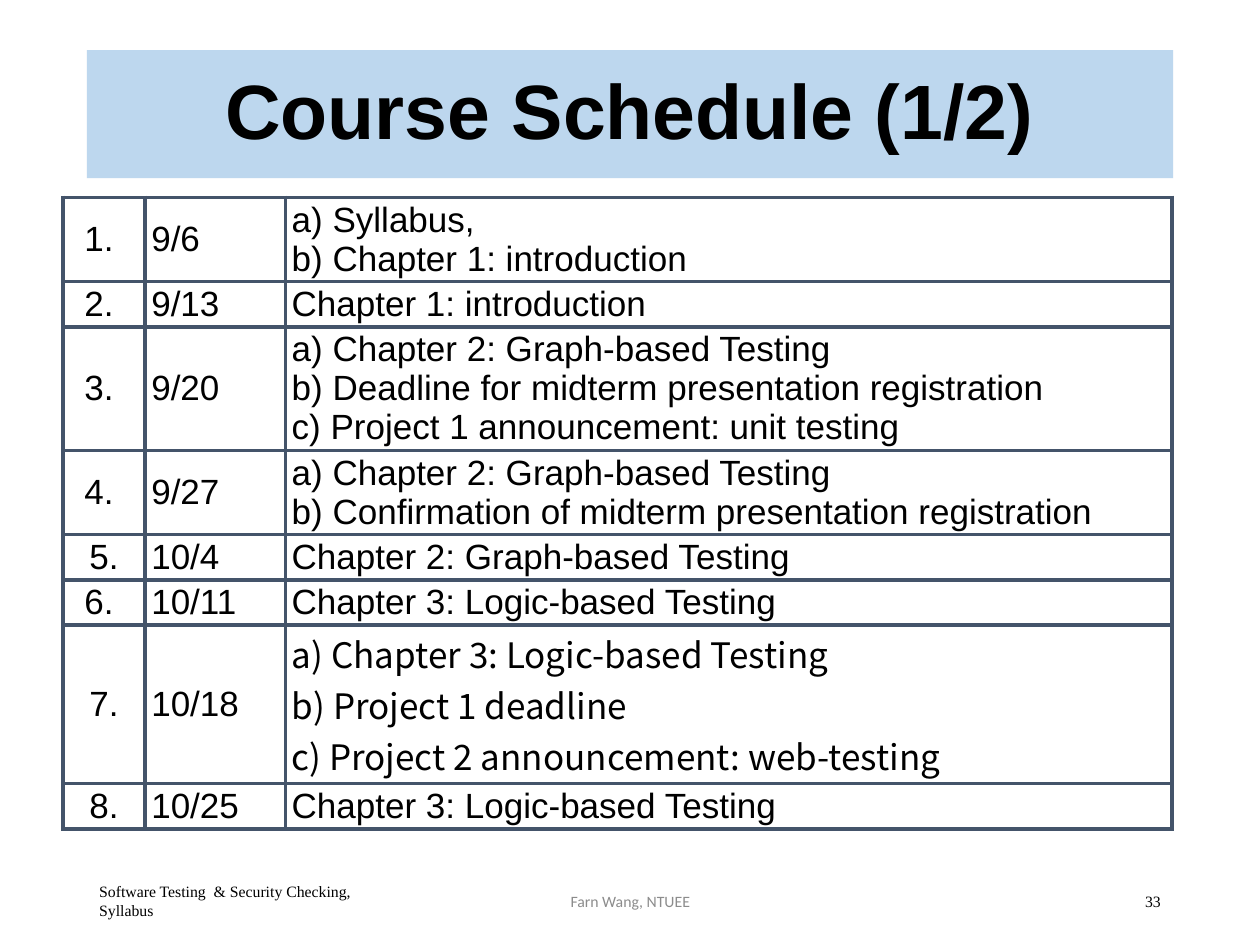
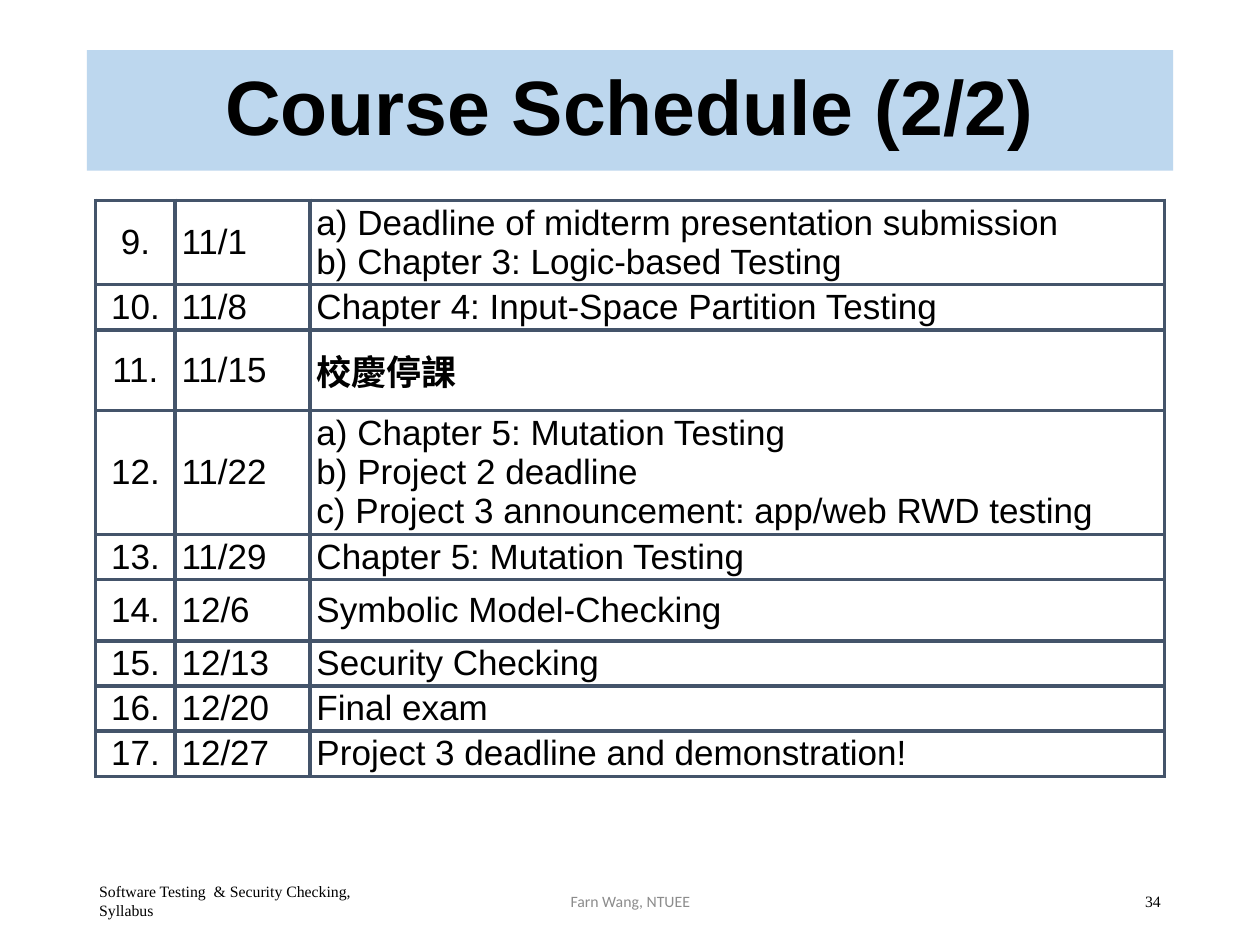
"""Build the two course schedule slides."""
from dataclasses import dataclass

from lxml import etree
from pptx import Presentation
from pptx.dml.color import RGBColor
from pptx.enum.text import MSO_ANCHOR, MSO_AUTO_SIZE, PP_ALIGN
from pptx.oxml.ns import qn
from pptx.util import Cm, Pt

MIDDLE = MSO_ANCHOR.MIDDLE
NO_FIT = MSO_AUTO_SIZE.NONE
LEFT, CENTER, RIGHT = PP_ALIGN.LEFT, PP_ALIGN.CENTER, PP_ALIGN.RIGHT
TITLE_ONLY = 5


@dataclass(frozen=True)
class Style:
    font: str
    size: float
    color: str
    bold: bool = False
    east_asian: bool = False
    spacing: float | Pt | None = None


@dataclass(frozen=True)
class Theme:
    band: str = "BDD7EE"
    border: str = "44546A"
    border_pt: float = 2.25
    title: Style = Style("Arial", 44, "000000", bold=True, spacing=0.9)
    cell: Style = Style("Arial", 20, "000000", spacing=Pt(22.3))
    cjk: Style = Style("Noto Sans CJK SC", 20, "000000", east_asian=True)
    cjk_bold: Style = Style("Noto Sans CJK SC", 20, "000000", bold=True, east_asian=True)
    footer: Style = Style("Times New Roman", 9, "000000")
    author: Style = Style("Calibri", 9, "8C8C8C")


THEME = Theme()
LINE_CM, ROW_PAD_CM = 0.79, 0.12


@dataclass(frozen=True)
class Week:
    number: str
    date: str
    topics: tuple[str, ...]
    style: Style = THEME.cell
    height: float = 0

    @property
    def row_cm(self) -> float:
        return self.height or LINE_CM * len(self.topics) + ROW_PAD_CM


@dataclass(frozen=True)
class Schedule:
    title: str
    band_height: float
    page: str
    left: float
    top: float
    cols: tuple[float, ...]
    weeks: tuple[Week, ...]


@dataclass(frozen=True)
class Footer:
    left: float
    width: float
    align: PP_ALIGN
    style: Style
    text: str = ""


FOOTERS = (
    Footer(1.75, 5.72, LEFT, THEME.footer, "Software Testing  & Security Checking, Syllabus"),
    Footer(8.41, 8.59, CENTER, THEME.author, "Farn Wang, NTUEE"),
    Footer(17.93, 5.72, RIGHT, THEME.footer),
)

SCHEDULES = (
    Schedule("Course Schedule (1/2)", 2.58, "33", 1.27, 3.98, (1.65, 2.83, 17.88), (
        Week("1. ", "9/6", ("a) Syllabus,", "b) Chapter 1: introduction")),
        Week("2. ", "9/13", ("Chapter 1: introduction",)),
        Week("3. ", "9/20", ("a) Chapter 2: Graph-based Testing",
                             "b) Deadline for midterm presentation registration",
                             "c) Project 1 announcement: unit testing")),
        Week("4. ", "9/27", ("a) Chapter 2: Graph-based Testing",
                             "b) Confirmation of midterm presentation registration")),
        Week("5.", "10/4", ("Chapter 2: Graph-based Testing",)),
        Week("6. ", "10/11", ("Chapter 3: Logic-based Testing",)),
        Week("7.", "10/18", ("a) Chapter 3: Logic-based Testing",
                             "b) Project 1 deadline",
                             "c) Project 2 announcement: web-testing"), THEME.cjk, 3.2),
        Week("8.", "10/25", ("Chapter 3: Logic-based Testing",)),
    )),
    Schedule("Course Schedule (2/2)", 2.43, "34", 1.93, 4.04, (1.6, 2.72, 17.22), (
        Week("9.", "11/1", ("a) Deadline of midterm presentation submission",
                            "b) Chapter 3: Logic-based Testing")),
        Week("10.", "11/8", ("Chapter 4: Input-Space Partition Testing",)),
        Week("11.", "11/15", ("校慶停課",), THEME.cjk_bold, 1.63),
        Week("12.", "11/22", ("a) Chapter 5: Mutation Testing",
                              "b) Project 2 deadline",
                              "c) Project 3 announcement: app/web RWD testing")),
        Week("13.", "11/29", ("Chapter 5: Mutation Testing",)),
        Week("14.", "12/6", ("Symbolic Model-Checking",), height=1.24),
        Week("15.", "12/13", ("Security Checking",)),
        Week("16.", "12/20", ("Final exam",)),
        Week("17.", "12/27", ("Project 3 deadline and demonstration!",)),
    )),
)


def write(tf, lines: tuple[str, ...], style: Style, align: PP_ALIGN = LEFT) -> None:
    for i, line in enumerate(lines):
        p = tf.add_paragraph() if i else tf.paragraphs[0]
        p.alignment = align
        p.line_spacing = style.spacing
        r = p.add_run()
        r.text = line
        r.font.name = style.font
        r.font.size = Pt(style.size)
        r.font.bold = style.bold
        r.font.color.rgb = RGBColor.from_string(style.color)
        if style.east_asian:
            etree.SubElement(r.font._element, qn("a:ea"), typeface=style.font)


def add_borders(cell) -> None:
    tc_pr = cell._tc.get_or_add_tcPr()
    for side in ("lnL", "lnR", "lnT", "lnB"):
        ln = etree.SubElement(tc_pr, qn(f"a:{side}"), w=str(Pt(THEME.border_pt)))
        fill = etree.SubElement(ln, qn("a:solidFill"))
        etree.SubElement(fill, qn("a:srgbClr"), val=THEME.border)


def add_title(s, schedule: Schedule) -> None:
    sp = s.shapes.title
    sp.left, sp.top = Cm(1.75), Cm(1.01)
    sp.width, sp.height = Cm(21.9), Cm(schedule.band_height)
    sp.fill.solid()
    sp.fill.fore_color.rgb = RGBColor.from_string(THEME.band)
    tf = sp.text_frame
    tf.auto_size = NO_FIT
    tf.vertical_anchor = MIDDLE
    write(tf, (schedule.title,), THEME.title, CENTER)


def add_footers(s, page: str) -> None:
    for footer in FOOTERS:
        sp = s.shapes.add_textbox(Cm(footer.left), Cm(17.65), Cm(footer.width), Cm(1.02))
        tf = sp.text_frame
        tf.word_wrap = True
        tf.vertical_anchor = MIDDLE
        write(tf, (footer.text or page,), footer.style, footer.align)


def add_schedule(s, schedule: Schedule) -> None:
    weeks = schedule.weeks
    frame = s.shapes.add_table(
        len(weeks), len(schedule.cols), Cm(schedule.left), Cm(schedule.top),
        Cm(sum(schedule.cols)), Cm(sum(week.row_cm for week in weeks)))
    table = frame.table
    table.first_row = table.horz_banding = False
    for col, width in zip(table.columns, schedule.cols):
        col.width = Cm(width)
    for row, week in zip(table.rows, weeks):
        row.height = Cm(week.row_cm)
        contents = (
            ((week.number,), THEME.cell, CENTER),
            ((week.date,), THEME.cell, LEFT),
            (week.topics, week.style, LEFT),
        )
        for cell, content in zip(row.cells, contents):
            cell.margin_left = cell.margin_right = Cm(0.13)
            cell.margin_top = cell.margin_bottom = Cm(0.05)
            cell.vertical_anchor = MIDDLE
            add_borders(cell)
            cell.fill.background()
            write(cell.text_frame, *content)


def main() -> None:
    prs = Presentation()
    prs.slide_width, prs.slide_height = Cm(25.4), Cm(19.05)
    for schedule in SCHEDULES:
        s = prs.slides.add_slide(prs.slide_layouts[TITLE_ONLY])
        add_title(s, schedule)
        add_footers(s, schedule.page)
        add_schedule(s, schedule)
    prs.save("out.pptx")


if __name__ == "__main__":
    main()
